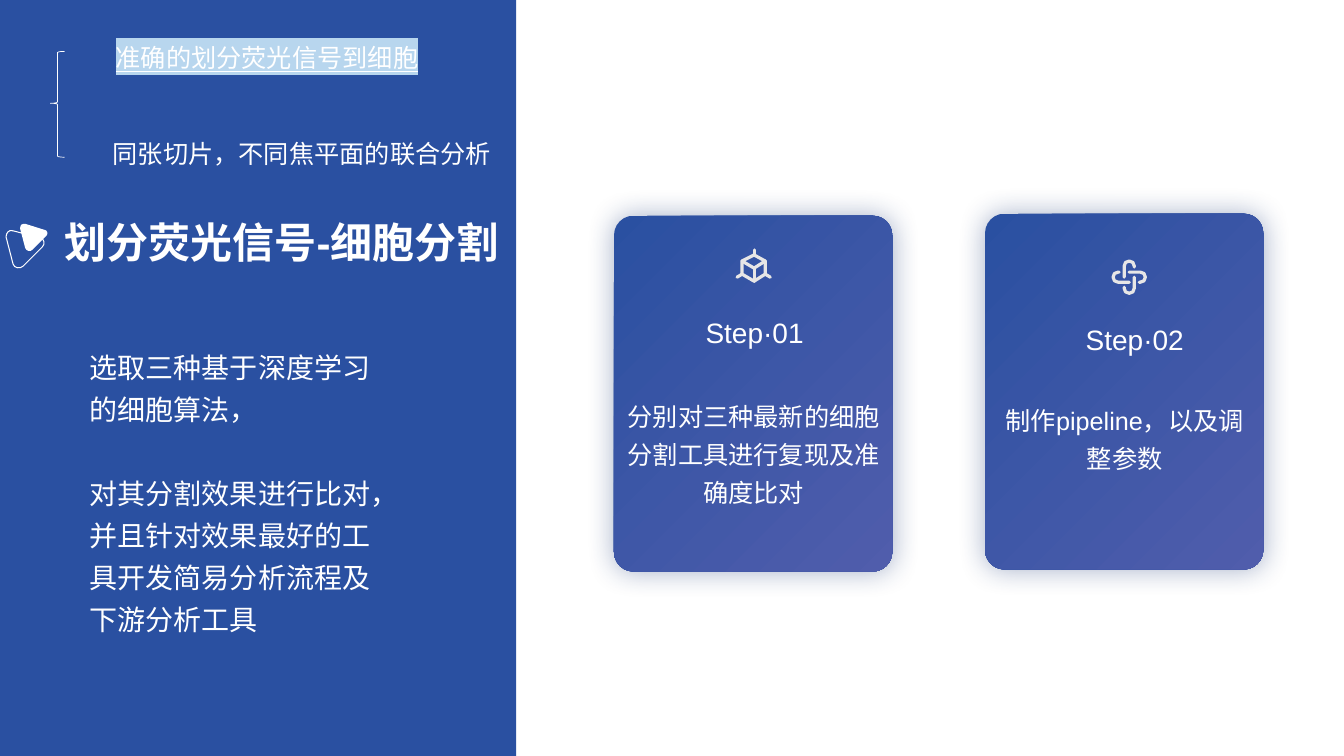
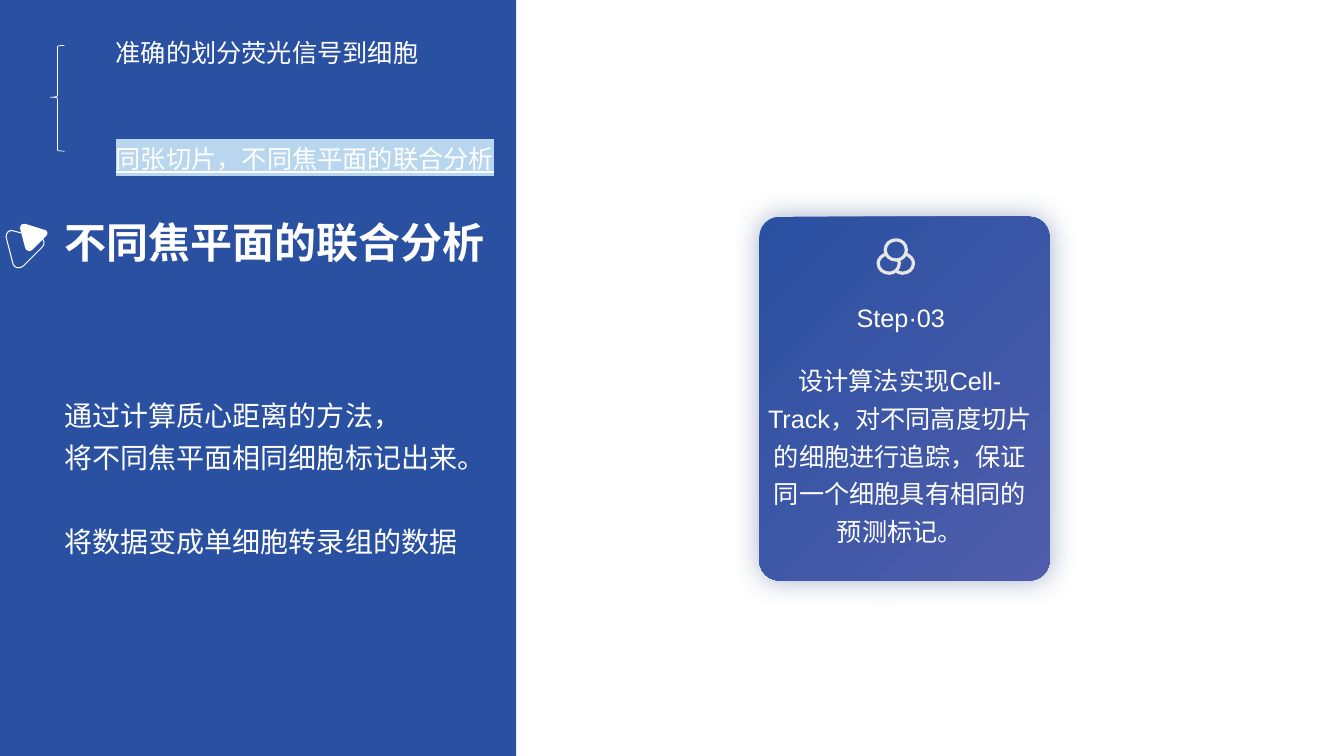
from dataclasses import dataclass

import lxml.etree
import pptx
import pptx.dml.color
import pptx.enum.shapes
import pptx.enum.text
import pptx.oxml.ns
import pptx.util

EMU_PER_PX = 9144  # 100 px to the inch
FONT = "Arial"
COLORS = {
    "blue": "2A50A1",
    "violet": "505DAC",
    "shadow": "203C79",
    "white": "FFFFFF",
    "icon": "E7E6E6",
    "highlight": "B8D6EE",
}
ALIGN = pptx.enum.text.PP_ALIGN
SHAPES = pptx.enum.shapes.MSO_SHAPE
qn = pptx.oxml.ns.qn

Point = tuple[int, int]
Box = tuple[int, int, int, int]


@dataclass(frozen=True)
class Stroke:
    """An outline; each segment is one point (line) or three points (Bézier curve)."""
    start: Point
    segments: tuple[tuple[Point, ...], ...]
    closed: bool = False


@dataclass(frozen=True)
class Topic:
    text: str
    box: Box
    current: bool = False


@dataclass(frozen=True)
class Card:
    box: Box
    step: str
    step_box: Box
    step_size: int
    text: str
    text_box: Box
    icon: tuple[Stroke, ...]


@dataclass(frozen=True)
class Page:
    title: str
    body_box: Box
    body: tuple[tuple[str, int], ...]  # text, space before in points
    brace_top: int
    topics: tuple[Topic, ...]
    cards: tuple[Card, ...]


def polyline(*points: Point) -> Stroke:
    return Stroke(points[0], tuple((point,) for point in points[1:]))


def place(stroke: Stroke, center: Point, turns: int = 0) -> Stroke:
    """Turn a stroke by quarter turns about the origin, then move it."""
    def moved(point: Point) -> Point:
        x, y = point
        for _ in range(turns):
            x, y = -y, x
        return center[0] + x, center[1] + y

    segments = tuple(tuple(map(moved, segment)) for segment in stroke.segments)
    return Stroke(moved(stroke.start), segments, stroke.closed)


# Icons
KNOT_ARM = Stroke((-5, 0), (
    ((-5, -11),), ((-5, -14), (-3, -16), (0, -16)),
    ((3, -16), (5, -14), (5, -11)), ((5, -10),)))
KNOT_ICON = tuple(place(KNOT_ARM, (1120, 275), turns) for turns in range(4))

CUBE_ICON = tuple(place(stroke, (748, 266)) for stroke in (
    Stroke((0, -13), (((11, -7),), ((11, 6),), ((0, 13),), ((-12, 6),), ((-12, -7),)), True),
    polyline((-12, -7), (0, 0), (11, -7)),
    polyline((0, 0), (0, 13)),
    polyline((0, -18), (0, -13)),
    polyline((11, 6), (16, 9)),
    polyline((-12, 6), (-17, 9)),
))

RINGS_ICON = (
    Stroke((889, 269), (
        ((890, 270), (893, 271), (895, 271)), ((901, 271), (906, 267), (906, 261)),
        ((906, 257), (902, 253), (898, 252)))),
    Stroke((879, 252), (
        ((875, 253), (871, 257), (871, 261)), ((871, 267), (876, 271), (882, 271)),
        ((887, 271), (892, 267), (892, 261)), ((892, 260), (892, 259), (891, 258)))),
    Stroke((889, 258), (
        ((894, 258), (899, 254), (899, 248)), ((899, 242), (894, 238), (889, 238)),
        ((883, 238), (878, 242), (878, 248)), ((878, 254), (883, 258), (889, 258))), True),
)

# Marker beside the title
MARKER_SOLID = Stroke((46, 234), (
    ((32, 248),), ((30, 250), (26, 249), (25, 246)), ((20, 227),),
    ((20, 226), (20, 224), (21, 223)), ((22, 222), (24, 222), (25, 222)),
    ((44, 228),), ((47, 228), (48, 232), (46, 234))), True)
MARKER_OUTLINE = Stroke((42, 245), (
    ((23, 264),), ((20, 267), (14, 266), (13, 262)), ((6, 235),),
    ((6, 233), (7, 231), (8, 230)), ((9, 229), (11, 228), (13, 229)),
    ((40, 236),), ((44, 237), (45, 242), (42, 245))), True)

TOPIC_SIGNAL = "准确的划分荧光信号到细胞"
TOPIC_PLANES = "同张切片，不同焦平面的联合分析"

PAGES = (
    Page(
        "划分荧光信号-细胞分割",
        (89, 339, 280, 370),
        (("选取三种基于深度学习的细胞算法，", 0),
         ("对其分割效果进行比对，并且针对效果最好的工具开发简易分析流程及下游分析工具", 30)),
        51,
        (Topic(TOPIC_SIGNAL, (105, 37, 377, 40), True),
         Topic(TOPIC_PLANES, (102, 132, 667, 40))),
        (Card((609, 214, 276, 353), "Step·01", (692, 313, 113, 39), 20,
              "分别对三种最新的细胞分割工具进行复现及准确度比对",
              (620, 391, 255, 229), CUBE_ICON),
         Card((977, 212, 276, 353), "Step·02", (1068, 320, 115, 39), 20,
              "制作pipeline，以及调整参数",
              (988, 395, 255, 229), KNOT_ICON)),
    ),
    Page(
        "不同焦平面的联合分析",
        (64, 387, 410, 370),
        (("通过计算质心距离的方法，", 0),
         ("将不同焦平面相同细胞标记出来。", 0),
         ("将数据变成单细胞转录组的数据", 30)),
        45,
        (Topic(TOPIC_SIGNAL, (105, 32, 377, 40)),
         Topic(TOPIC_PLANES, (105, 137, 441, 40), True)),
        (Card((753, 215, 288, 361), "Step·03", (840, 300, 107, 59), 18,
              "设计算法实现Cell-Track，对不同高度切片的细胞进行追踪，保证同一个细胞具有相同的预测标记。",
              (760, 355, 265, 233), RINGS_ICON),),
    ),
)


def px(value: float) -> int:
    return round(value * EMU_PER_PX)


def rgb(name: str) -> pptx.dml.color.RGBColor:
    return pptx.dml.color.RGBColor.from_string(COLORS[name])


def set_line(shape, color: str, width: float) -> None:
    shape.line.color.rgb = rgb(color)
    shape.line.width = pptx.util.Pt(width)


def format_paragraph(paragraph, size: int, align=ALIGN.LEFT, bold: bool = False,
                     spacing: float = 1.0, before: int = 0) -> None:
    paragraph.alignment = align
    paragraph.line_spacing = spacing
    paragraph.space_before = pptx.util.Pt(before)
    font = paragraph.font
    font.name, font.size, font.bold = FONT, pptx.util.Pt(size), bold
    font.color.rgb = rgb("white")


def set_frame(shape, wrap: bool, inset: bool = False):
    frame = shape.text_frame
    frame.word_wrap = wrap
    frame.auto_size = pptx.enum.text.MSO_AUTO_SIZE.NONE
    frame.vertical_anchor = pptx.enum.text.MSO_ANCHOR.TOP
    if not inset:
        frame.margin_left = frame.margin_right = frame.margin_top = frame.margin_bottom = 0
    return frame


def add_text(slide, box: Box, text: str, size: int, wrap: bool = True, inset: bool = False,
             align=ALIGN.LEFT, spacing: float = 1.0):
    shape = slide.shapes.add_textbox(*map(px, box))
    paragraph = set_frame(shape, wrap, inset).paragraphs[0]
    paragraph.text = text
    format_paragraph(paragraph, size, align, spacing=spacing)
    return shape


def curve_segments(shape, stroke: Stroke) -> None:
    """Join the three lines through each curve's points into one Bézier curve."""
    lines = iter(list(shape.element.iter(qn("a:lnTo"))))
    for segment in stroke.segments:
        first, *others = [next(lines) for _ in segment]
        if others:
            first.tag = qn("a:cubicBezTo")
            for line in others:
                first.append(line[0])
                line.getparent().remove(line)


def round_ends(shape) -> None:
    for line in shape.element.iter(qn("a:ln")):
        line.set("cap", "rnd")
        lxml.etree.SubElement(line, qn("a:round"))


def draw_stroke(slide, stroke: Stroke, color: str, width: float, filled: bool = False):
    start, *points = [tuple(map(px, point))
                      for segment in ((stroke.start,), *stroke.segments) for point in segment]
    if len(points) == 1:
        line = slide.shapes.add_connector(
            pptx.enum.shapes.MSO_CONNECTOR.STRAIGHT, *start, *points[0])
        set_line(line, color, width)
        lxml.etree.SubElement(line.element.spPr, qn("a:effectLst"))
        return line
    builder = slide.shapes.build_freeform(*start)
    builder.add_line_segments(points, close=stroke.closed)
    shape = builder.convert_to_shape()
    curve_segments(shape, stroke)
    shape.shadow.inherit = False
    if filled:
        shape.fill.solid()
        shape.fill.fore_color.rgb = rgb(color)
        shape.line.fill.background()
    else:
        shape.fill.background()
        set_line(shape, color, width)
    return shape


def draw_card(slide, card: Card) -> None:
    shape = slide.shapes.add_shape(SHAPES.ROUNDED_RECTANGLE, *map(px, card.box))
    shape.adjustments[0] = 0.07
    shape.fill.gradient()
    shape.fill.gradient_angle = 315
    for stop, color in zip(shape.fill.gradient_stops, ("blue", "violet")):
        stop.color.rgb = rgb(color)
    shape.line.fill.background()
    # Soft glow-like shadow
    shape.shadow.inherit = False
    effects = shape.element.spPr.find(qn("a:effectLst"))
    shadow = lxml.etree.SubElement(effects, qn("a:outerShdw"), blurRad=str(pptx.util.Pt(20)),
                                   dist="0", dir="0", algn="ctr", rotWithShape="0")
    color = lxml.etree.SubElement(shadow, qn("a:srgbClr"), val=COLORS["shadow"])
    lxml.etree.SubElement(color, qn("a:alpha"), val="40000")

    for stroke in card.icon:
        round_ends(draw_stroke(slide, stroke, "icon", 2.31))
    add_text(slide, card.step_box, card.step, card.step_size, wrap=False, align=ALIGN.CENTER)
    add_text(slide, card.text_box, card.text, 18, align=ALIGN.CENTER, spacing=1.25)


def draw_topic(slide, topic: Topic) -> None:
    shape = add_text(slide, topic.box, topic.text, 18, inset=True)
    if topic.current:
        shape.text_frame.paragraphs[0].runs[0].font.underline = True
        for properties in shape.element.iter(qn("a:rPr")):
            highlight = lxml.etree.SubElement(properties, qn("a:highlight"))
            lxml.etree.SubElement(highlight, qn("a:srgbClr"), val=COLORS["highlight"])


def move(shape, box: Box) -> None:
    shape.left, shape.top, shape.width, shape.height = map(px, box)


def build_page(presentation, layout, page: Page):
    slide = presentation.slides.add_slide(layout)
    # Title and its marker
    title = slide.shapes.title
    move(title, (64, 215, 500, 50))
    frame = set_frame(title, wrap=False)
    frame.text = page.title
    format_paragraph(frame.paragraphs[0], 30, bold=True)
    draw_stroke(slide, MARKER_SOLID, "white", 0, filled=True)
    draw_stroke(slide, MARKER_OUTLINE, "white", 0.75)
    # Body
    body = slide.placeholders[1]
    move(body, page.body_box)
    frame = set_frame(body, wrap=True)
    frame.text = "\n".join(text for text, _ in page.body)
    for element in body.element.iter(qn("a:p")):
        properties = element.get_or_add_pPr()
        properties.set("marL", "0")
        properties.set("indent", "0")
        lxml.etree.SubElement(properties, qn("a:buNone"))
    for paragraph, (_, before) in zip(frame.paragraphs, page.body):
        format_paragraph(paragraph, 20, spacing=1.25, before=before)
    # Topics in a brace
    brace = slide.shapes.add_shape(SHAPES.LEFT_BRACE, *map(px, (50, page.brace_top, 14, 105)))
    brace.adjustments[0], brace.adjustments[1] = 0.08, 0.49
    brace.shadow.inherit = False
    brace.fill.background()
    set_line(brace, "white", 0.5)
    for topic in page.topics:
        draw_topic(slide, topic)
    for card in page.cards:
        draw_card(slide, card)
    return slide


def main() -> None:
    presentation = pptx.Presentation()
    presentation.slide_width, presentation.slide_height = px(1333), px(750)
    layout = presentation.slide_layouts[1]
    slides = [build_page(presentation, layout, page) for page in PAGES]
    # The blue side band belongs to the layout, behind everything
    band = slides[0].shapes.add_shape(SHAPES.RECTANGLE, *map(px, (0, 0, 512, 750)))
    band.shadow.inherit = False
    band.fill.solid()
    band.fill.fore_color.rgb = rgb("blue")
    band.line.fill.background()
    layout.shapes.element.insert(2, band.element)
    presentation.save("out.pptx")


if __name__ == "__main__":
    main()
